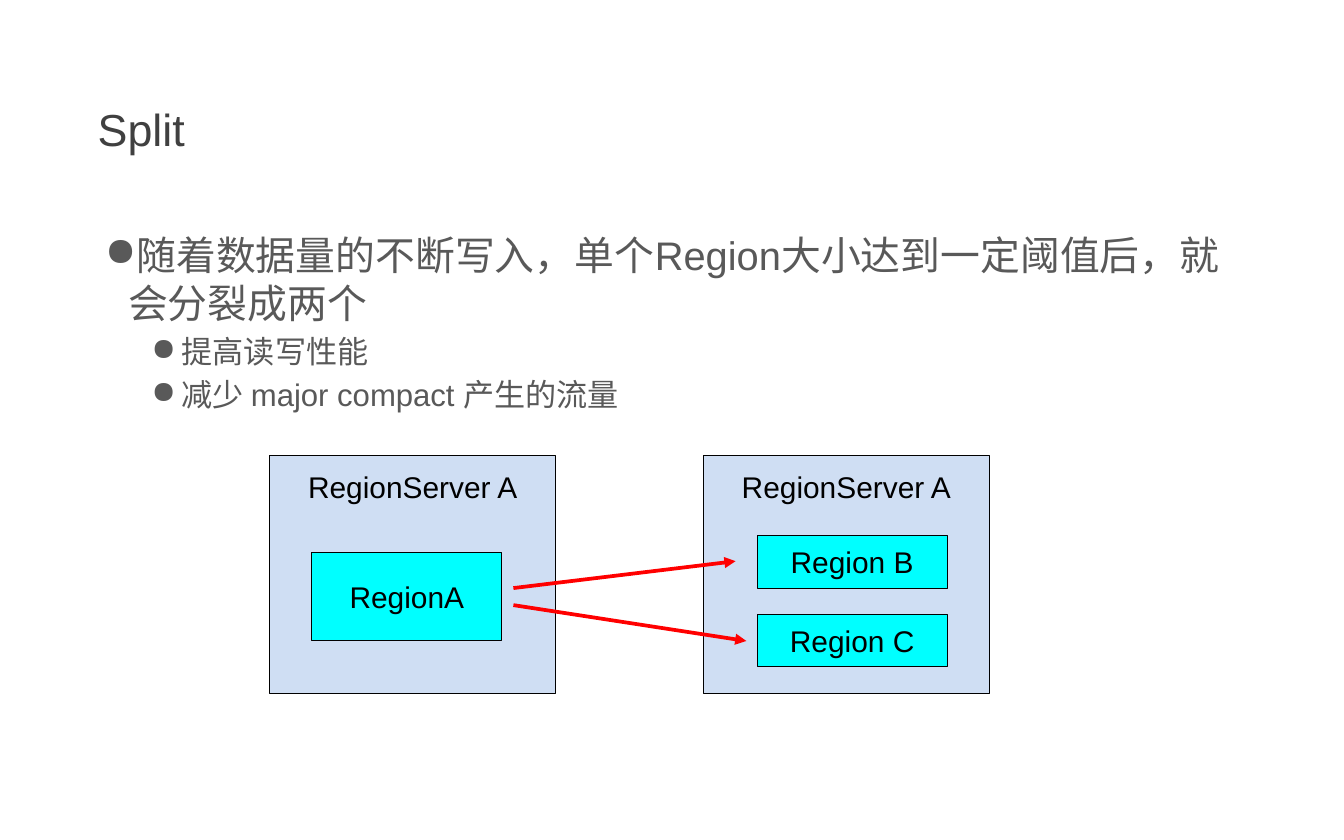
from lxml import etree
from pptx import Presentation
from pptx import util as u
from pptx.dml.color import RGBColor
from pptx.enum import shapes, text
from pptx.oxml.ns import qn

COLS, ROWS = 15, 9.37
CELL = u.Inches(1)
COLORS = {
    "title": "404040",
    "body": "595959",
    "ink": "000000",
    "server": "CFDEF3",
    "region": "00FFFF",
    "arrow": "FF0000",
}


def cells(*values):
    """Turn grid columns or rows into slide lengths."""
    return [int(v * CELL) for v in values]


def rgb(name):
    """Look up a named colour."""
    return RGBColor.from_string(COLORS[name])


def write(tf, content, size=24, color="ink", align=text.PP_ALIGN.LEFT,
          first=True, before=0, bullet=None):
    """Write one paragraph; bullet is its (margin, hanging) in columns."""
    p = tf.paragraphs[0] if first else tf.add_paragraph()
    p.alignment = align
    p.space_before = u.Pt(before)
    r = p.add_run()
    r.text = content
    r.font.name = "Arial"
    r.font.size = u.Pt(size)
    r.font.color.rgb = rgb(color)
    if bullet:
        margin, hanging = cells(*bullet)
        pPr = p._p.get_or_add_pPr()
        pPr.set("marL", str(margin))
        pPr.set("indent", str(-hanging))
        etree.SubElement(pPr, qn("a:buChar")).set("char", "●")


def frame(sp, anchor, top=0.07):
    """Set the insets, wrapping and anchor of a shape's text."""
    tf = sp.text_frame
    tf.word_wrap = True
    tf.vertical_anchor = anchor
    tf.margin_left, tf.margin_right, tf.margin_top, tf.margin_bottom = cells(
        0.14, 0.14, top, 0.07)
    return tf


def add_title(s, box, content):
    """Place the slide title."""
    sp = s.shapes.add_textbox(*cells(*box))
    write(frame(sp, text.MSO_ANCHOR.MIDDLE), content, 36, "title")


def add_points(s, box, point, details):
    """Place the main point and its details as bullets."""
    tf = frame(s.shapes.add_textbox(*cells(*box)), text.MSO_ANCHOR.TOP)
    write(tf, point, 32, "body", bullet=(0.26, 0.26))
    for detail in details:
        write(tf, detail, 25, "body", first=False, before=5, bullet=(0.86, 0.34))


def add_block(s, box, label, fill, anchor=text.MSO_ANCHOR.MIDDLE, top=0.07):
    """Place an outlined rectangle with a centred label."""
    sp = s.shapes.add_shape(shapes.MSO_SHAPE.RECTANGLE, *cells(*box))
    sp.shadow.inherit = False
    sp.fill.solid()
    sp.fill.fore_color.rgb = rgb(fill)
    sp.line.color.rgb = rgb("ink")
    sp.line.width = u.Pt(0.75)
    write(frame(sp, anchor, top), label, align=text.PP_ALIGN.CENTER)


def add_server(s, box, label, regions):
    """Place a server and its regions, offset from the server's corner."""
    x, y, _, _ = box
    add_block(s, box, label, "server", text.MSO_ANCHOR.TOP, 0.15)
    for name, dx, dy, height in regions:
        add_block(s, (x + dx, y + dy, 2.12, height), name, "region")


def add_arrow(s, start, end):
    """Draw a split arrow between two grid points."""
    line = s.shapes.add_connector(
        shapes.MSO_CONNECTOR.STRAIGHT, *cells(*start, *end))
    line.line.color.rgb = rgb("arrow")
    line.line.width = u.Pt(3)
    etree.SubElement(line.line._get_or_add_ln(), qn("a:tailEnd")).set(
        "type", "triangle")
    etree.SubElement(line._element.spPr, qn("a:effectLst"))


def add_split(s, box):
    """Place the two server states and the arrows between them."""
    x, y, width, height = box
    server_w = 3.19
    add_server(s, (x, y, server_w, height), "RegionServer A",
               [("RegionA", 0.47, 1.08, 0.98)])
    add_server(s, (x + width - server_w, y, server_w, height), "RegionServer A",
               [("Region B", 0.6, 0.89, 0.59), ("Region C", 0.6, 1.77, 0.59)])
    for start, end in (((2.72, 1.48), (5.2, 1.18)), ((2.72, 1.67), (5.32, 2.07))):
        add_arrow(s, (x + start[0], y + start[1]), (x + end[0], y + end[1]))


def main():
    """Build the slide and save it."""
    prs = Presentation()
    prs.slide_width, prs.slide_height = cells(COLS, ROWS)
    s = prs.slides.add_slide(prs.slide_layouts[6])
    add_title(s, (0.95, 0.43, 12.75, 2.01), "Split")
    add_points(s, (1.03, 2.5, 12.94, 2.4),
               "随着数据量的不断写入，单个Region大小达到一定阈值后，就会分裂成两个",
               ["提高读写性能", "减少 major compact 产生的流量"])
    add_split(s, (3.01, 5.08, 8.03, 2.66))
    prs.save("out.pptx")


if __name__ == "__main__":
    main()
